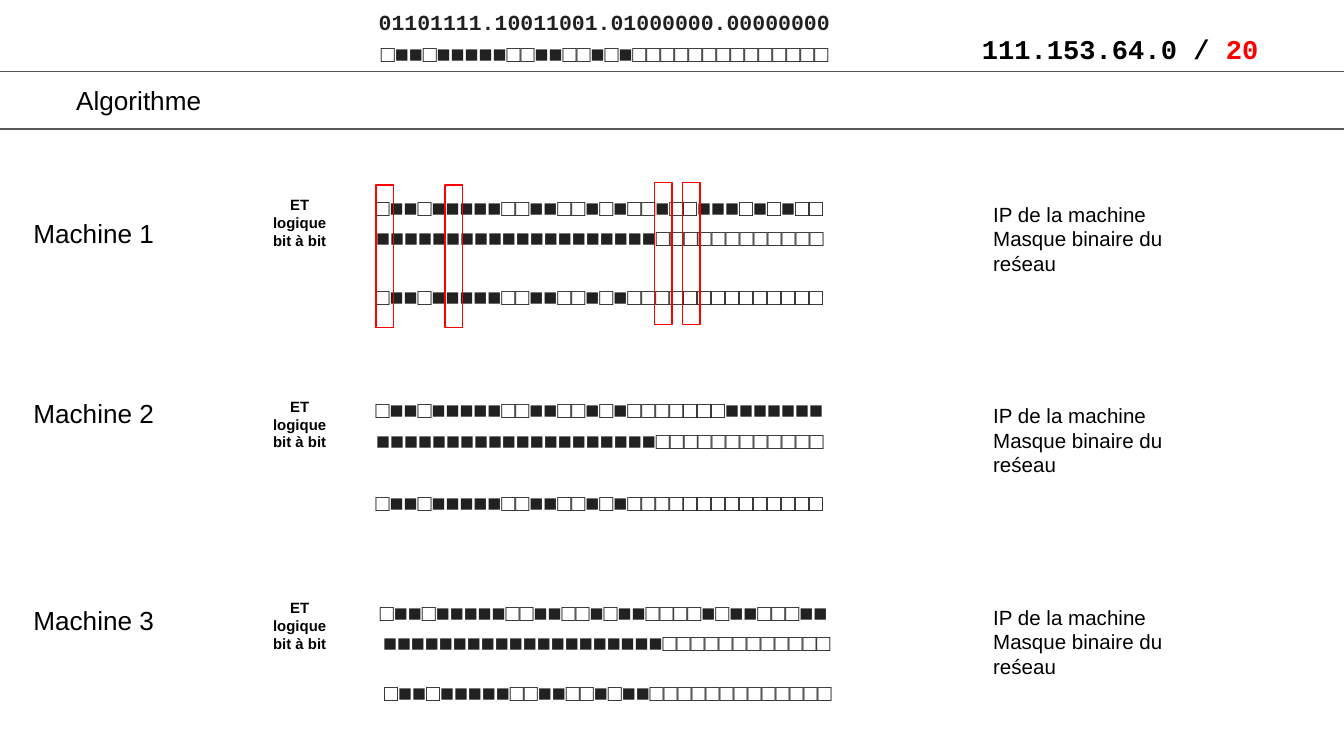
"""Build a slide showing the bitwise AND of three IP addresses with a network mask."""
from typing import NamedTuple

from pptx import Presentation
from pptx import util as u
from pptx.dml.color import RGBColor
from pptx.enum import shapes, text
from pptx.oxml.ns import qn


class Area(NamedTuple):
    left: float
    top: float
    width: float
    height: float


class Style(NamedTuple):
    size: float
    font: str = "Arial"
    color: str = "000000"
    bold: bool = False
    align: text.PP_ALIGN = text.PP_ALIGN.LEFT
    line: float = 1.0
    before: float = 0
    indent: float = 0


class Machine(NamedTuple):
    name: str
    name_top: float
    address: str
    address_at: Area
    mask_at: Area
    network_at: Area


PREFIX = 20
HOST_ZEROS = "□" * (32 - PREFIX)
MASK = "■" * PREFIX + HOST_ZEROS
GROUP_TOP, GROUP_PITCH = 3.45, 3.81

HEADING = Style(14)
NOTE = Style(11)
OPERATION = Style(8, bold=True, align=text.PP_ALIGN.CENTER)
BITS = Style(12.5, "Courier New", "212121")
ROW = BITS._replace(line=1.15, before=11, indent=0.2)
TOP_ROW = ROW._replace(align=text.PP_ALIGN.CENTER, before=0)
BINARY = TOP_ROW._replace(size=11.5, bold=True, before=11)
NETWORK = Style(14.5, "Courier New", bold=True, align=text.PP_ALIGN.CENTER, line=1.36)

MACHINES = [
    Machine("Machine 1", 3.86, "□■■□■■■■■□□■■□□■□■□□■□□■■■□■□■□□",
            Area(6.65, 3.33, 9.58, 1.04), Area(6.86, 3.96, 9.47, 1.04),
            Area(6.65, 5, 9.58, 2.06)),
    Machine("Machine 2", 7.26, "□■■□■■■■■□□■■□□■□■□□□□□□□■■■■■■■",
            Area(6.65, 7.14, 9.58, 1.04), Area(6.86, 7.8, 9.47, 1.04),
            Area(6.65, 8.89, 9.58, 2.06)),
    Machine("Machine 3", 11.18, "□■■□■■■■■□□■■□□■□■■□□□□■□■■□□□■■",
            Area(6.73, 10.97, 9.58, 2.06), Area(6.99, 11.63, 9.47, 1.04),
            Area(6.81, 12.5, 9.58, 3.07)),
]
FRAMES = [Area(left, top, 0.33, 2.69)
          for left, top in [(7.11, 3.5), (8.41, 3.5), (12.37, 3.45), (12.9, 3.45)]]


def rgb(value: str) -> RGBColor:
    """Turn a hex string into a colour."""
    return RGBColor.from_string(value)


def format_span(span, style: Style) -> None:
    """Apply the character style to one run."""
    span.font.name = style.font
    span.font.size = u.Pt(style.size)
    span.font.bold = style.bold
    span.font.color.rgb = rgb(style.color)


def add_text(page, area: Area, *lines: tuple[str, Style]):
    """Add a text box with one paragraph per line and return its last paragraph."""
    box = page.shapes.add_textbox(*map(u.Cm, area))
    frame = box.text_frame
    frame.word_wrap = True
    frame.auto_size = text.MSO_AUTO_SIZE.SHAPE_TO_FIT_TEXT
    frame.margin_left = frame.margin_right = u.Cm(0.25)
    frame.margin_top = frame.margin_bottom = u.Cm(0.25)
    frame.text = "\n".join(words for words, _ in lines)
    for para, (_, style) in zip(frame.paragraphs, lines):
        para.alignment = style.align
        para.line_spacing = style.line
        para.space_before = u.Pt(style.before)
        para.space_after = u.Pt(0)
        para._p.get_or_add_pPr().set("marL", str(u.Cm(style.indent)))
        format_span(para.runs[0], style)
    return frame.paragraphs[-1]


def add_rule(page, top: float) -> None:
    """Draw a horizontal line across the page."""
    rule = page.shapes.add_connector(
        shapes.MSO_CONNECTOR.STRAIGHT, u.Cm(0), u.Cm(top), u.Cm(25.4), u.Cm(top))
    rule.line.color.rgb = rgb("595959")
    rule.line.width = u.Pt(0.75)
    properties = rule._element.spPr
    properties.append(properties.makeelement(qn("a:effectLst"), {}))


def add_frame(page, area: Area) -> None:
    """Draw a red outline around one column of bits."""
    frame = page.shapes.add_shape(shapes.MSO_SHAPE.RECTANGLE, *map(u.Cm, area))
    frame.shadow.inherit = False
    frame.fill.background()
    frame.line.color.rgb = rgb("FF0000")
    frame.line.width = u.Pt(0.75)


def add_machine(page, machine: Machine, top: float) -> None:
    """Write the labels and the three rows of bits of one machine."""
    add_text(page, Area(0.38, machine.name_top, 3.33, 1.12), (machine.name, HEADING))
    add_text(page, Area(4.85, top, 1.63, 1.55), ("ET logique bit à bit", OPERATION))
    add_text(page, Area(18.52, top + 0.11, 5, 1.45),
             ("IP de la machine", NOTE), ("Masque binaire du reśeau", NOTE))
    add_text(page, machine.address_at, (machine.address, ROW))
    add_text(page, machine.mask_at, (MASK, BITS))
    add_text(page, machine.network_at, (machine.address[:PREFIX] + HOST_ZEROS, ROW))


def main() -> None:
    """Build and save the deck."""
    deck = Presentation()
    deck.slide_width, deck.slide_height = u.Cm(25.4), u.Cm(14.29)
    page = deck.slides.add_slide(deck.slide_layouts[6])
    for top in (1.35, 2.44):
        add_rule(page, top)
    add_text(page, Area(1.19, 1.35, 15.82, 1.12), ("Algorithme", HEADING))
    for index, machine in enumerate(MACHINES):
        add_machine(page, machine, GROUP_TOP + index * GROUP_PITCH)
    for area in FRAMES:
        add_frame(page, area)
    add_text(page, Area(4.34, -0.15, 13.97, 1.6),
             ("01101111.10011001.01000000.00000000", BINARY),
             (MACHINES[0].address[:PREFIX] + HOST_ZEROS, TOP_ROW))
    para = add_text(page, Area(15.34, 0.15, 11.66, 2.51), ("111.153.64.0 / ", NETWORK))
    span = para.add_run()
    span.text = str(PREFIX)
    format_span(span, NETWORK._replace(color="FF0000"))
    deck.save("out.pptx")


if __name__ == "__main__":
    main()
